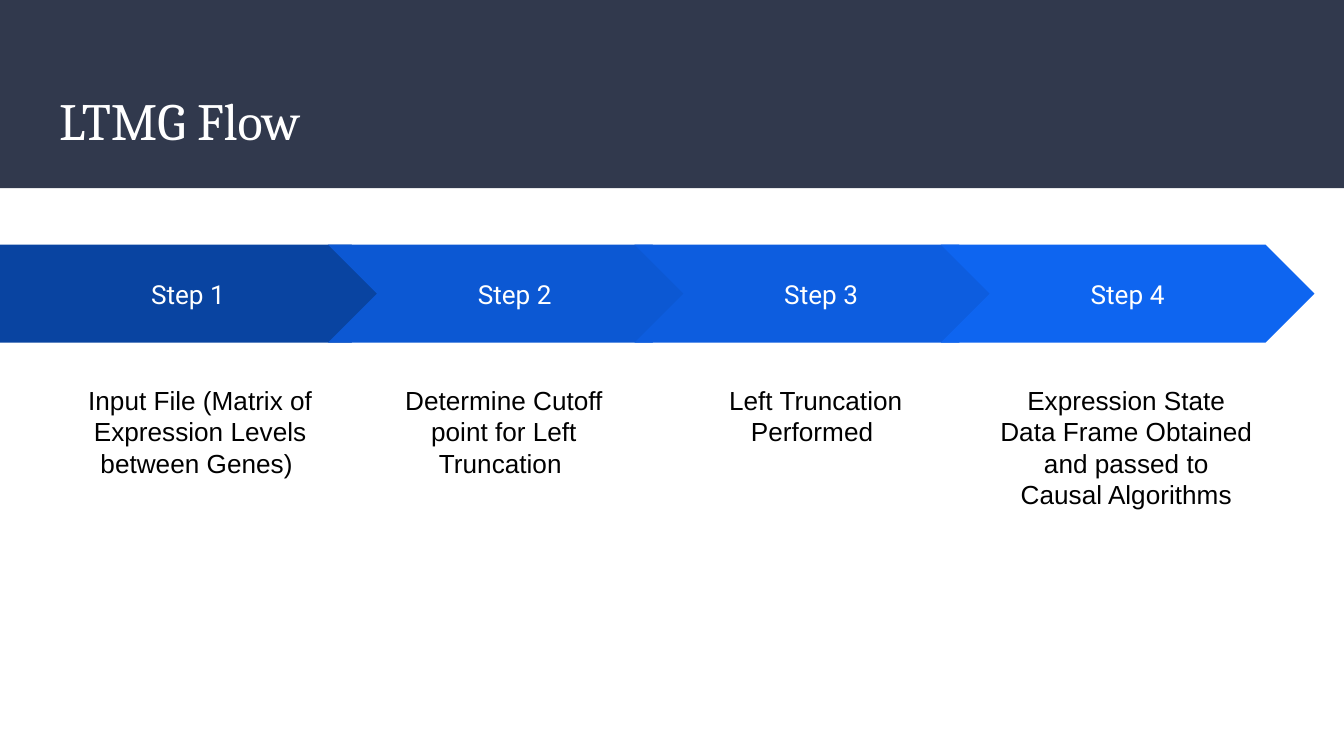
from pptx import Presentation
from pptx.dml.color import RGBColor
from pptx.enum.shapes import MSO_SHAPE
from pptx.enum.text import MSO_ANCHOR, PP_ALIGN
from pptx.util import Inches, Pt

COLORS = {
    "header": "31394D",
    "light": "FFFFFF",
    "dark": "000000",
    "step1": "0944A1",
    "step2": "0C58D3",
    "step3": "0D5DDF",
    "step4": "0E65F0",
}

STEPS = [
    ("Input File (Matrix of Expression Levels between Genes) ", 0.45),
    ("Determine Cutoff point for Left Truncation ", 2.71),
    ("Left Truncation Performed ", 5.03),
    ("Expression State Data Frame Obtained and passed to Causal Algorithms", 7.34),
]
SLIDE_WIDTH = 10
SLIDE_HEIGHT = SLIDE_WIDTH * 9 / 16
FIRST_CHEVRON = 2.44
CHEVRON_PITCH = 2.28


def write(shape, text, font="Arial", size=14, color="dark", align=PP_ALIGN.CENTER,
          anchor=MSO_ANCHOR.TOP):
    frame = shape.text_frame
    frame.word_wrap = True
    frame.vertical_anchor = anchor
    frame.margin_left = frame.margin_right = Inches(0.1)
    frame.margin_top = frame.margin_bottom = Inches(0.1)
    paragraph = frame.paragraphs[0]
    paragraph.alignment = align
    run = paragraph.add_run()
    run.text = text
    run.font.name = font
    run.font.size = Pt(size)
    run.font.color.rgb = RGBColor.from_string(COLORS[color])


class FlowSlide:
    def __init__(self, deck):
        self.slide = deck.slides.add_slide(deck.slide_layouts[5])
        self.shapes = self.slide.shapes

    def block(self, preset, left, top, width, height, fill):
        block = self.shapes.add_shape(
            preset, Inches(left), Inches(top), Inches(width), Inches(height))
        block.shadow.inherit = False
        block.fill.solid()
        block.fill.fore_color.rgb = RGBColor.from_string(COLORS[fill])
        block.line.fill.background()
        return block

    def header(self, text):
        title = self.shapes.title
        title.left, title.top = Inches(0.34), Inches(0.55)
        title.width, title.height = Inches(9.32), Inches(0.68)
        write(title, text, font="Cambria", size=28, color="light",
              align=PP_ALIGN.LEFT, anchor=MSO_ANCHOR.MIDDLE)
        band = self.block(MSO_SHAPE.RECTANGLE, 0, 0, SLIDE_WIDTH, 1.4, "header")
        title.element.addprevious(band.element)

    def arrow(self, number):
        if number == 1:
            preset, left, width = MSO_SHAPE.PENTAGON, 0, 2.98
        else:
            preset, width = MSO_SHAPE.CHEVRON, 2.78
            left = FIRST_CHEVRON + (number - 2) * CHEVRON_PITCH
        arrow = self.block(preset, left, 1.82, width, 0.73, f"step{number}")
        write(arrow, f"Step {number}", font="Roboto", color="light",
              anchor=MSO_ANCHOR.MIDDLE)

    def description(self, text, left):
        description = self.shapes.add_textbox(
            Inches(left), Inches(2.76), Inches(2.08), Inches(2.86))
        write(description, text)


def main():
    deck = Presentation()
    deck.slide_width, deck.slide_height = Inches(SLIDE_WIDTH), Inches(SLIDE_HEIGHT)
    flow = FlowSlide(deck)
    flow.header("LTMG Flow")
    for number, (text, left) in enumerate(STEPS, start=1):
        flow.arrow(number)
        flow.description(text, left)
    deck.save("out.pptx")


if __name__ == "__main__":
    main()
